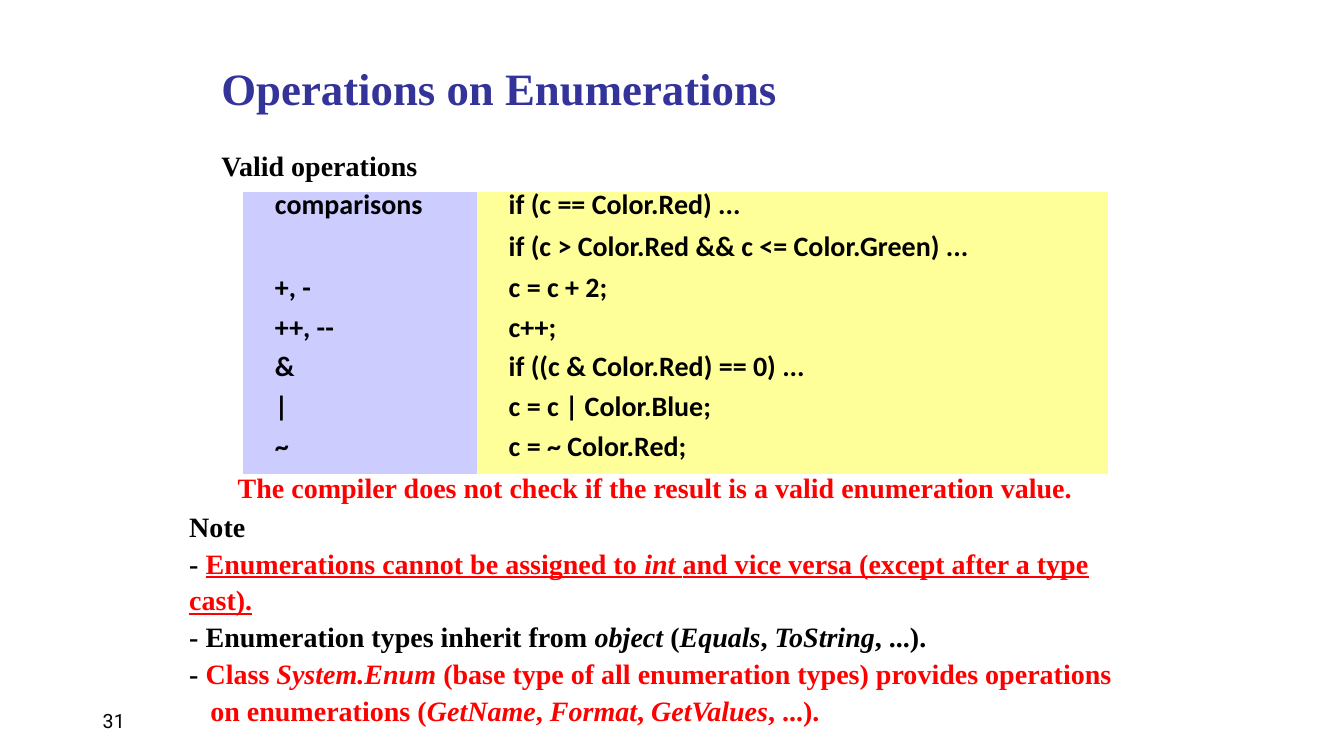
from pptx import Presentation
from pptx.dml.color import RGBColor
from pptx.enum.text import MSO_ANCHOR as Anchor, MSO_AUTO_SIZE as AutoSize
from pptx.oxml.ns import qn
from pptx.util import Cm, Pt

BLACK = RGBColor(0x00, 0x00, 0x00)
RED = RGBColor(0xFF, 0x00, 0x00)
NAVY = RGBColor(0x33, 0x33, 0x99)
LILAC = RGBColor(0xCC, 0xCC, 0xFF)
YELLOW = RGBColor(0xFF, 0xFF, 0x99)
SERIF = "Times New Roman"
NO_STYLE = "{2D5ABB26-0587-4C30-8999-92F81FD0307C}"

deck = Presentation()
deck.slide_width, deck.slide_height = Cm(33.87), Cm(19.05)
page = deck.slides.add_slide(deck.slide_layouts[6])


def style(span, size, color, name=SERIF, bold=True):
    span.font.size = Pt(size)
    span.font.name = name
    span.font.bold = bold
    span.font.color.rgb = color


def add_text(left, top, width, height, text="", anchor=Anchor.TOP):
    box = page.shapes.add_textbox(Cm(left), Cm(top), Cm(width), Cm(height))
    frame = box.text_frame
    frame.word_wrap = True
    frame.vertical_anchor = anchor
    frame.text = text
    return frame


# Page number, title and single-line statements
lines = [
    (2.34, 17.65, 7.62, 1.02, "31", Anchor.MIDDLE, 14, BLACK, "Roboto", False),
    (5.33, 1.27, 19.05, 1.9, "Operations on Enumerations", Anchor.MIDDLE, 32, NAVY, SERIF, True),
    (5.33, 3.61, 21.59, 1.12, "Valid operations", Anchor.TOP, 20, BLACK, SERIF, True),
    (5.74, 11.73, 22.4, 1.6, "The compiler does not check if the result is a valid enumeration value.",
     Anchor.TOP, 20, RED, SERIF, True),
]
for left, top, width, height, text, anchor, size, color, name, bold in lines:
    frame = add_text(left, top, width, height, text, anchor)
    style(frame.paragraphs[0].runs[0], size, color, name, bold)

# Notes: each span is text, colour and marks (i = italic, u = underline)
notes = [
    [("Note", BLACK, "")],
    [("- ", BLACK, ""), ("Enumerations cannot be assigned to ", RED, "u"), ("int ", RED, "iu"),
     ("and vice versa (except after a type cast).", RED, "u")],
    [("- Enumeration types inherit from ", BLACK, ""), ("object ", BLACK, "i"), ("(", BLACK, ""),
     ("Equals", BLACK, "i"), (", ", BLACK, ""), ("ToString", BLACK, "i"), (", ...).", BLACK, "")],
    [("- ", BLACK, ""), ("Class ", RED, ""), ("System.Enum ", RED, "i"),
     ("(base type of all enumeration types) provides operations", RED, "")],
    [("on enumerations (", RED, ""), ("GetName", RED, "i"), (", ", RED, ""), ("Format", RED, "i"),
     (", ", RED, ""), ("GetValues", RED, "i"), (", ...).", RED, "")],
]
frame = add_text(4.52, 12.62, 24.89, 4.95)
frame.auto_size = AutoSize.SHAPE_TO_FIT_TEXT
for index, note in enumerate(notes):
    para = frame.add_paragraph() if index else frame.paragraphs[0]
    para.line_spacing = 1.1
    for text, color, marks in note:
        span = para.add_run()
        span.text = text
        style(span, 20, color)
        span.font.italic = "i" in marks
        span.font.underline = "u" in marks
# The last line continues the item above it
para._p.get_or_add_pPr().set("marL", str(Cm(0.53)))

# Table of operators and examples
operations = [
    ("comparisons", "if (c == Color.Red) ..."),
    ("", "if (c > Color.Red && c <= Color.Green) ..."),
    ("+, -", "c = c + 2;"),
    ("++, --", "c++;"),
    ("&", "if ((c & Color.Red) == 0) ..."),
    ("|", "c = c | Color.Blue;"),
    ("~", "c = ~ Color.Red;"),
]
table = page.shapes.add_table(len(operations), 2, Cm(6.13), Cm(4.83), Cm(21.79), Cm(7.1)).table
table.first_row = table.horz_banding = False
table._tbl.tblPr.find(qn("a:tableStyleId")).text = NO_STYLE
table.columns[0].width, table.columns[1].width = Cm(5.89), Cm(15.9)
heights = [1.07, 1.04] + [1] * 5
for row, height, texts in zip(table.rows, heights, operations):
    row.height = Cm(height)
    for cell, text, fill in zip(row.cells, texts, (LILAC, YELLOW)):
        cell.fill.solid()
        cell.fill.fore_color.rgb = fill
        cell.vertical_anchor = Anchor.MIDDLE
        cell.margin_left = Cm(0.8)
        cell.text_frame.text = text
        para = cell.text_frame.paragraphs[0]
        para.line_spacing = 0.2
        for span in para.runs:
            style(span, 20, BLACK, "Calibri")

deck.save("out.pptx")
